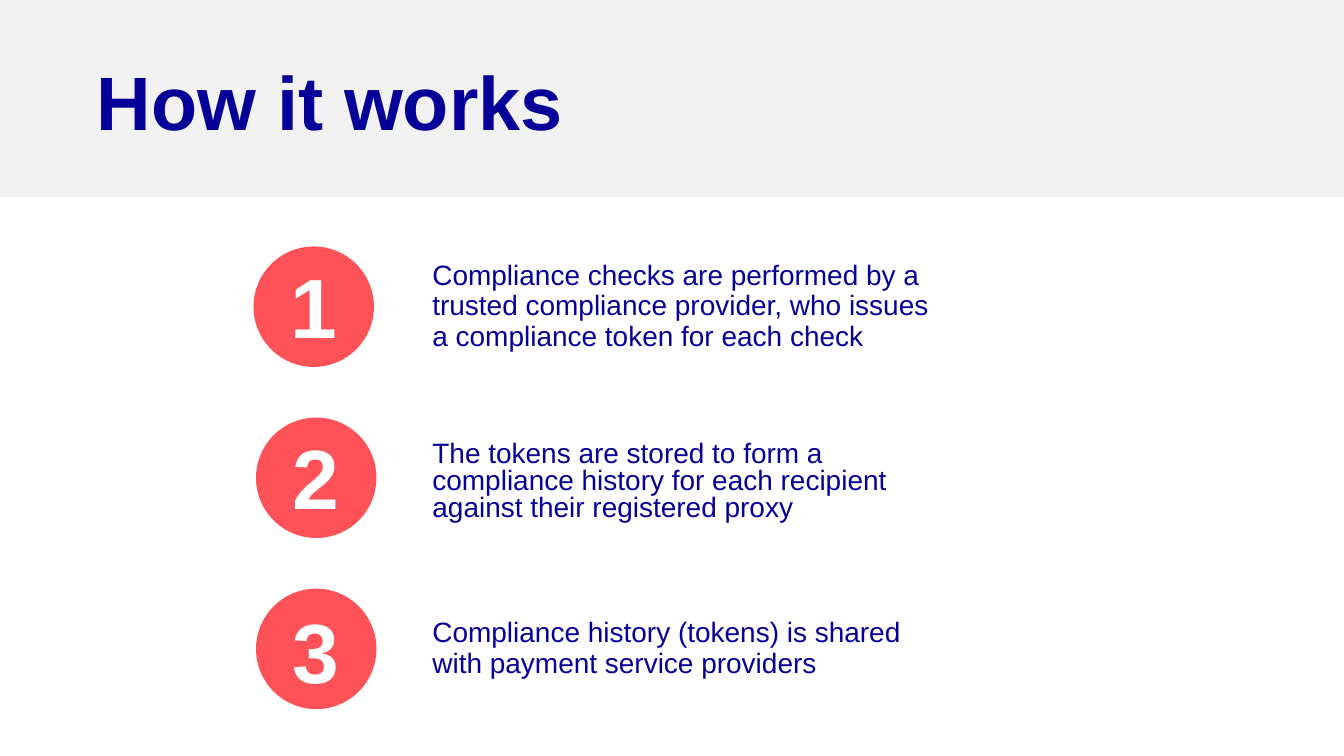
from pptx import Presentation
from pptx.dml.color import RGBColor
from pptx.enum.shapes import MSO_SHAPE as Shape
from pptx.enum.text import MSO_ANCHOR as Anchor, MSO_AUTO_SIZE as Fit, PP_ALIGN as Align
from pptx.util import Inches, Pt

NAVY = RGBColor(0x06, 0x00, 0x98)
CORAL = RGBColor(0xFF, 0x52, 0x58)
GREY = RGBColor(0xF2, 0xF2, 0xF2)
WHITE = RGBColor(0xFF, 0xFF, 0xFF)

DISC = 2.39            # disc diameter
TOP, PITCH = 4.89, 3.395
NUM_W, NUM_H = 1.92, 2.01
TEXT_X = 8.38

# disc left, number drop, text top, width, height, line spacing, text
STEPS = [
    (5.03, 0.29, 4.89, 10.64, 2.39, 0.9,
     "Compliance checks are performed by a trusted compliance provider, "
     "who issues a compliance token for each check"),
    (5.08, 0.28, 8.66, 10.39, 1.81, 0.8,
     "The tokens are stored to form a compliance history for each "
     "recipient against their registered proxy"),
    (5.08, 0.35, 11.97, 10.39, 1.81, 0.9,
     "Compliance history (tokens) is shared with payment service providers"),
]


def add_shape(slide, kind, box, color):
    shape = slide.shapes.add_shape(kind, *map(Inches, box))
    shape.shadow.inherit = False
    shape.fill.solid()
    shape.fill.fore_color.rgb = color
    shape.line.fill.background()
    return shape


def set_text(shape, text, size, color, bold=False, align=Align.LEFT,
             anchor=Anchor.MIDDLE, gap=0.9):
    frame = shape.text_frame
    frame.word_wrap = True
    frame.auto_size = Fit.NONE
    frame.vertical_anchor = anchor
    frame.margin_left = frame.margin_right = Inches(0.2)
    frame.margin_top = frame.margin_bottom = Inches(0.1)
    para = frame.paragraphs[0]
    para.alignment = align
    para.line_spacing = gap
    run = para.add_run()
    run.text = text
    font = run.font
    font.name = "Arial"
    font.size = Pt(size)
    font.bold = bold
    font.color.rgb = color


def add_text(slide, box, *args, **opts):
    set_text(slide.shapes.add_textbox(*map(Inches, box)), *args, **opts)


def add_title(slide, text):
    # Band goes behind the title
    band = add_shape(slide, Shape.RECTANGLE, (0, 0, 26.67, 3.91), GREY)
    slide.shapes.title._element.addprevious(band._element)
    title = slide.shapes.title
    title.left, title.top = Inches(1.72), Inches(0.29)
    title.width, title.height = Inches(19.1), Inches(3.62)
    set_text(title, text, 108, NAVY, bold=True)


def add_step(slide, num, left, drop, top, width, height, gap, text):
    disc_y = TOP + (num - 1) * PITCH
    add_shape(slide, Shape.OVAL, (left, disc_y, DISC, DISC), CORAL)
    num_x = left + (DISC - NUM_W) / 2
    add_text(slide, (num_x, disc_y + drop, NUM_W, NUM_H), str(num), 120, WHITE,
             bold=True, align=Align.CENTER, anchor=Anchor.TOP)
    add_text(slide, (TEXT_X, top, width, height), text, 40, NAVY, gap=gap)


def main():
    deck = Presentation()
    deck.slide_width, deck.slide_height = Inches(26.67), Inches(15)
    slide = deck.slides.add_slide(deck.slide_layouts[5])
    add_title(slide, "How it works")
    # Numbered steps
    for num, step in enumerate(STEPS, 1):
        add_step(slide, num, *step)
    deck.save("out.pptx")


if __name__ == "__main__":
    main()
